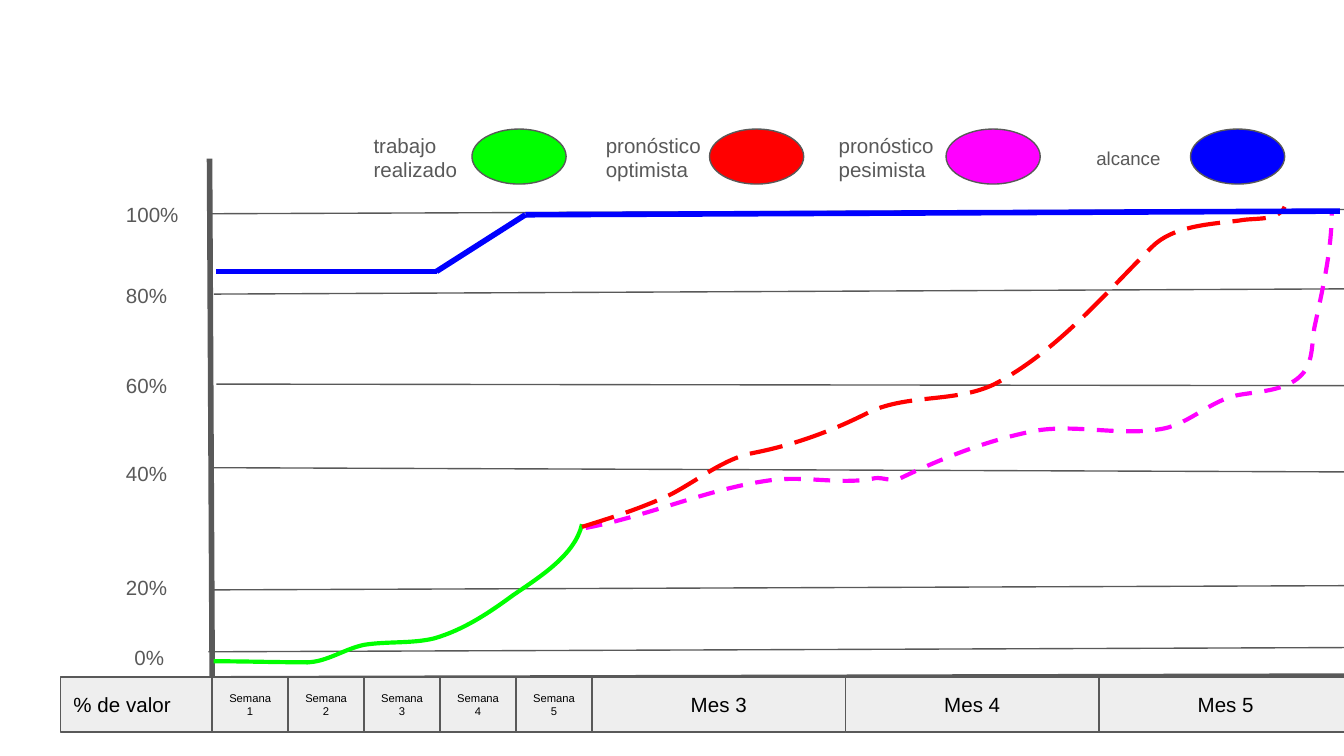
from itertools import pairwise

from lxml.etree import SubElement
from pptx import Presentation
from pptx.dml.color import RGBColor
from pptx.enum.dml import MSO_LINE
from pptx.enum.shapes import MSO_CONNECTOR, MSO_SHAPE
from pptx.enum.text import MSO_ANCHOR, PP_ALIGN
from pptx.oxml.ns import qn
from pptx.util import Cm, Pt

GREY, PALE, BLACK = "595959", "EEEEEE", "000000"
GREEN, RED, MAGENTA, BLUE = "00FF00", "FF0000", "FF00FF", "0000FF"

# Axis label, its left and top, then the gridline's start and end
LEVELS = [
    ("100%", 2.13, 3.58, (3.99, 4.04), (25.43, 3.96)),
    ("80%", 2.13, 5.11, (4.04, 5.56), (25.43, 5.46)),
    ("60%", 2.13, 6.81, (4.09, 7.26), (25.7, 7.29)),
    ("40%", 2.13, 8.48, (3.96, 8.84), (25.4, 8.92)),
    ("20%", 2.13, 10.64, (3.99, 11.15), (25.48, 11.07)),
    ("0%", 2.29, 11.96, (3.94, 12.32), (25.43, 12.24)),
]

# Label, its box and size, then the marker's left and colour
LEGEND = [
    ("trabajo realizado", (6.81, 2.26, 3, 1.04), 11, 8.92, GREEN),
    ("pronóstico optimista", (11.2, 2.26, 3, 1.04), 11, 13.41, RED),
    ("pronóstico pesimista", (15.6, 2.26, 3, 1.04), 11, 17.88, MAGENTA),
    ("alcance", (20.47, 2.57, 2.06, 0.76), 10, 22.5, BLUE),
]

# Each curve: a start point, then two control points and an end per segment
WORK_START = [(4.04, 12.5), (4.62, 12.5), (5.21, 12.52), (5.82, 12.52)]
WORK_DONE = [
    (5.79, 12.52),
    (6.17, 12.52), (6.5, 12.27), (6.88, 12.19),
    (7.32, 12.12), (7.77, 12.17), (8.2, 12.07),
    (8.76, 11.91), (9.25, 11.58), (9.7, 11.25),
    (10.21, 10.9), (10.87, 10.49), (11, 9.91),
]
PESSIMISTIC = [
    (11.07, 9.98),
    (12.29, 9.75), (13.41, 9.22), (14.63, 9.07),
    (15.27, 9), (15.93, 9.17), (16.54, 9.04),
    (16.69, 9.02), (16.87, 9.12), (17.02, 9.04),
    (17.81, 8.66), (18.64, 8.33), (19.53, 8.15),
    (20.32, 8), (21.18, 8.26), (22, 8.1),
    (22.48, 8), (22.89, 7.57), (23.39, 7.47),
    (23.83, 7.39), (24.36, 7.39), (24.64, 7.04),
    (24.82, 6.81), (24.79, 6.48), (24.84, 6.2),
    (24.99, 5.49), (25.17, 4.75), (25.17, 3.99),
]
OPTIMISTIC = [
    (11, 9.96),
    (11.58, 9.78), (12.14, 9.6), (12.67, 9.35),
    (13.21, 9.07), (13.69, 8.66), (14.25, 8.56),
    (15.01, 8.41), (15.72, 8.15), (16.41, 7.8),
    (17.15, 7.44), (18.06, 7.62), (18.8, 7.26),
    (19.96, 6.65), (20.85, 5.59), (21.77, 4.67),
    (22.17, 4.27), (22.86, 4.24), (23.42, 4.17),
    (23.72, 4.11), (24.16, 4.19), (24.28, 3.91),
]
SCOPE = [(4.09, 5.13), (8.25, 5.13), (9.93, 4.06), (25.32, 3.99)]

ROW_TOP, ROW_HEIGHT = 12.8, 1.04
WEEKS_LEFT, WEEK_WIDTH, MONTH_WIDTH = 4.01, 1.436, 4.79


def rgb(colour):
    return RGBColor.from_string(colour)


def style_line(line, colour, width):
    line.color.rgb = rgb(colour)
    line.width = Pt(width)


def write(shape, text, size, colour, align=PP_ALIGN.LEFT, anchor=MSO_ANCHOR.TOP):
    frame = shape.text_frame
    frame.word_wrap = True
    frame.vertical_anchor = anchor
    frame.margin_left = frame.margin_right = Cm(0.25)
    frame.margin_top = frame.margin_bottom = Cm(0.25)
    paragraph = frame.paragraphs[0]
    paragraph.alignment = align
    run = paragraph.add_run()
    run.text = text
    run.font.name = "Arial"
    run.font.size = Pt(size)
    run.font.color.rgb = rgb(colour)


def add_label(slide, text, box, size=11):
    label = slide.shapes.add_textbox(*map(Cm, box))
    write(label, text, size, GREY)


def add_filled(slide, kind, box, fill):
    shape = slide.shapes.add_shape(kind, *map(Cm, box))
    shape.shadow.inherit = False
    shape.fill.solid()
    shape.fill.fore_color.rgb = rgb(fill)
    style_line(shape.line, GREY, 0.75)
    return shape


def add_period(slide, text, left, width, size=11, align=PP_ALIGN.CENTER):
    box = (left, ROW_TOP, width, ROW_HEIGHT)
    cell = add_filled(slide, MSO_SHAPE.RECTANGLE, box, PALE)
    write(cell, text, size, BLACK, align, MSO_ANCHOR.MIDDLE)


def add_line(slide, start, end, colour=GREY, width=0.75):
    line = slide.shapes.add_connector(
        MSO_CONNECTOR.STRAIGHT, *map(Cm, start + end))
    style_line(line.line, colour, width)
    SubElement(line._element.spPr, qn("a:effectLst"))


def add_curve(slide, points, colour, dash=None):
    """Draw a freeform whose points, three at a time, become Bézier segments."""
    start, *rest = [(Cm(x), Cm(y)) for x, y in points]
    builder = slide.shapes.build_freeform(*start)
    builder.add_line_segments(rest, close=False)
    curve = builder.convert_to_shape()
    sides = list(curve._element.iter(qn("a:lnTo")))
    for first in range(0, len(sides), 3):
        outline = sides[first].getparent()
        bezier = SubElement(outline, qn("a:cubicBezTo"))
        for side in sides[first:first + 3]:
            bezier.append(side[0])
            outline.remove(side)
    curve.shadow.inherit = False
    curve.fill.background()
    style_line(curve.line, colour, 2.25)
    if dash:
        curve.line.dash_style = dash


def add_timeline(slide):
    add_period(slide, "% de valor", 1.14, 2.87, align=PP_ALIGN.LEFT)
    for week in range(5):
        left = WEEKS_LEFT + week * WEEK_WIDTH
        add_period(slide, f"Semana {week + 1}", left, WEEK_WIDTH, size=6)
    months_left = WEEKS_LEFT + 5 * WEEK_WIDTH
    for month in range(3):
        left = months_left + month * MONTH_WIDTH
        add_period(slide, f"Mes {month + 3}", left, MONTH_WIDTH)


def main():
    deck = Presentation()
    deck.slide_width, deck.slide_height = Cm(25.4), Cm(14.29)
    slide = deck.slides.add_slide(deck.slide_layouts[6])

    add_line(slide, (3.96, 3), (4.01, 12.78), width=3)
    add_line(slide, (25.48, 12.78), (4.37, 12.83), width=3)
    add_timeline(slide)
    for text, left, top, start, end in LEVELS:
        add_label(slide, text, (left, top, 2.51, 0.84))
        add_line(slide, start, end)

    add_curve(slide, WORK_START, GREEN)
    add_curve(slide, WORK_DONE, GREEN)
    add_curve(slide, PESSIMISTIC, MAGENTA, MSO_LINE.DASH)
    add_curve(slide, OPTIMISTIC, RED, MSO_LINE.LONG_DASH)
    for start, end in pairwise(SCOPE):
        add_line(slide, start, end, BLUE, 3)

    for text, box, size, marker_left, colour in LEGEND:
        add_label(slide, text, box, size)
        add_filled(slide, MSO_SHAPE.OVAL, (marker_left, 2.44, 1.78, 1.04), colour)

    deck.save("out.pptx")


if __name__ == "__main__":
    main()
